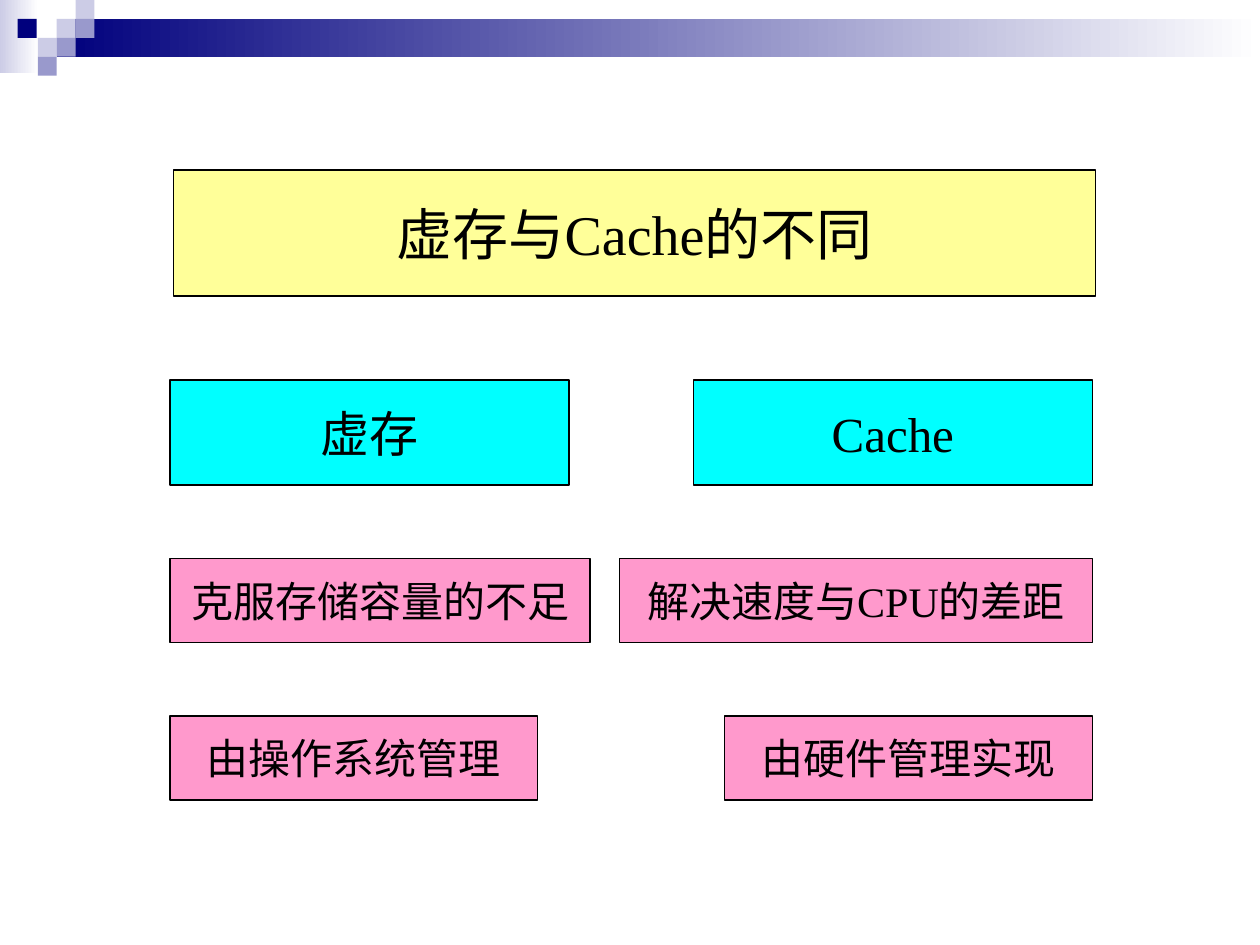
from pptx import Presentation
from pptx.dml.color import RGBColor
from pptx.enum.shapes import MSO_SHAPE
from pptx.enum.text import MSO_ANCHOR, MSO_AUTO_SIZE, PP_ALIGN
from pptx.util import Pt

NAVY, LILAC, VIOLET, WHITE = "00007D", "CCCCE6", "9999CC", "FFFFFF"
YELLOW, CYAN, PINK, BLACK = "FFFF99", "00FFFF", "FF99CC", "000000"


def color(hex_value):
    return RGBColor.from_string(hex_value)


class SlideBuilder:
    font_name = "Times New Roman"
    line_width = 0.75

    def __init__(self, slide):
        self.slide = slide

    def rectangle(self, left, top, width, height):
        """Add a rectangle without line or shadow."""
        shape = self.slide.shapes.add_shape(
            MSO_SHAPE.RECTANGLE, Pt(left), Pt(top), Pt(width), Pt(height))
        shape.shadow.inherit = False
        shape.line.fill.background()
        return shape

    def block(self, left, top, width, height, fill):
        shape = self.rectangle(left, top, width, height)
        shape.fill.solid()
        shape.fill.fore_color.rgb = color(fill)

    def gradient_band(self, left, top, width, height, start, end):
        shape = self.rectangle(left, top, width, height)
        shape.fill.gradient()
        shape.fill.gradient_angle = 0
        for stop, position, hex_value in zip(
                shape.fill.gradient_stops, (0, 1), (start, end)):
            stop.position = position
            stop.color.rgb = color(hex_value)

    def title(self, text, left, top, width, height, fill, size):
        shape = self.slide.shapes.title
        shape.left, shape.top = Pt(left), Pt(top)
        shape.width, shape.height = Pt(width), Pt(height)
        self.label(shape, text, fill, size)

    def box(self, text, left, top, width, height, fill, size):
        self.label(self.rectangle(left, top, width, height), text, fill, size)

    def label(self, shape, text, fill, size):
        """Give a shape its fill, outline and centred text."""
        shape.fill.solid()
        shape.fill.fore_color.rgb = color(fill)
        shape.line.color.rgb = color(BLACK)
        shape.line.width = Pt(self.line_width)
        frame = shape.text_frame
        frame.auto_size = MSO_AUTO_SIZE.NONE
        frame.word_wrap = False
        frame.vertical_anchor = MSO_ANCHOR.MIDDLE
        paragraph = frame.paragraphs[0]
        paragraph.alignment = PP_ALIGN.CENTER
        run = paragraph.add_run()
        run.text = text
        run.font.name = self.font_name
        run.font.size = Pt(size)
        run.font.color.rgb = color(BLACK)


def add_header(builder):
    cell = 10.8
    column_lefts = (10.1, 21.6, 32.4, 43.2)
    builder.gradient_band(0, 0, 22, 42, LILAC, WHITE)
    builder.gradient_band(32.4, cell, 687.6, 21.6, NAVY, WHITE)
    mosaic = [
        (2, 1, LILAC), (3, 0, LILAC), (3, 1, VIOLET), (1, 2, LILAC),
        (0, 1, NAVY), (2, 2, VIOLET), (1, 3, VIOLET),
    ]
    for column, row, fill in mosaic:
        builder.block(column_lefts[column], row * cell, cell, cell, fill)


def add_comparison(builder):
    left_edge, right_edge = 97.2, 624.2
    # top, height, fill, text size, (left text, width), (right text, width)
    rows = [
        (217.2, 60, CYAN, 28, ("虚存", 228), ("Cache", 228)),
        (319.2, 48, PINK, 24, ("克服存储容量的不足", 240), ("解决速度与CPU的差距", 270)),
        (409.2, 48, PINK, 24, ("由操作系统管理", 210), ("由硬件管理实现", 210)),
    ]
    for top, height, fill, size, (memory, memory_width), (cache, cache_width) in rows:
        builder.box(memory, left_edge, top, memory_width, height, fill, size)
        builder.box(cache, right_edge - cache_width, top, cache_width, height, fill, size)


def main():
    presentation = Presentation()
    presentation.slide_width, presentation.slide_height = Pt(720), Pt(540)
    title_only = presentation.slide_layouts[5]
    builder = SlideBuilder(presentation.slides.add_slide(title_only))
    add_header(builder)
    builder.title("虚存与Cache的不同", 99.2, 97.2, 527, 72, YELLOW, 32)
    add_comparison(builder)
    presentation.save("out.pptx")


if __name__ == "__main__":
    main()
